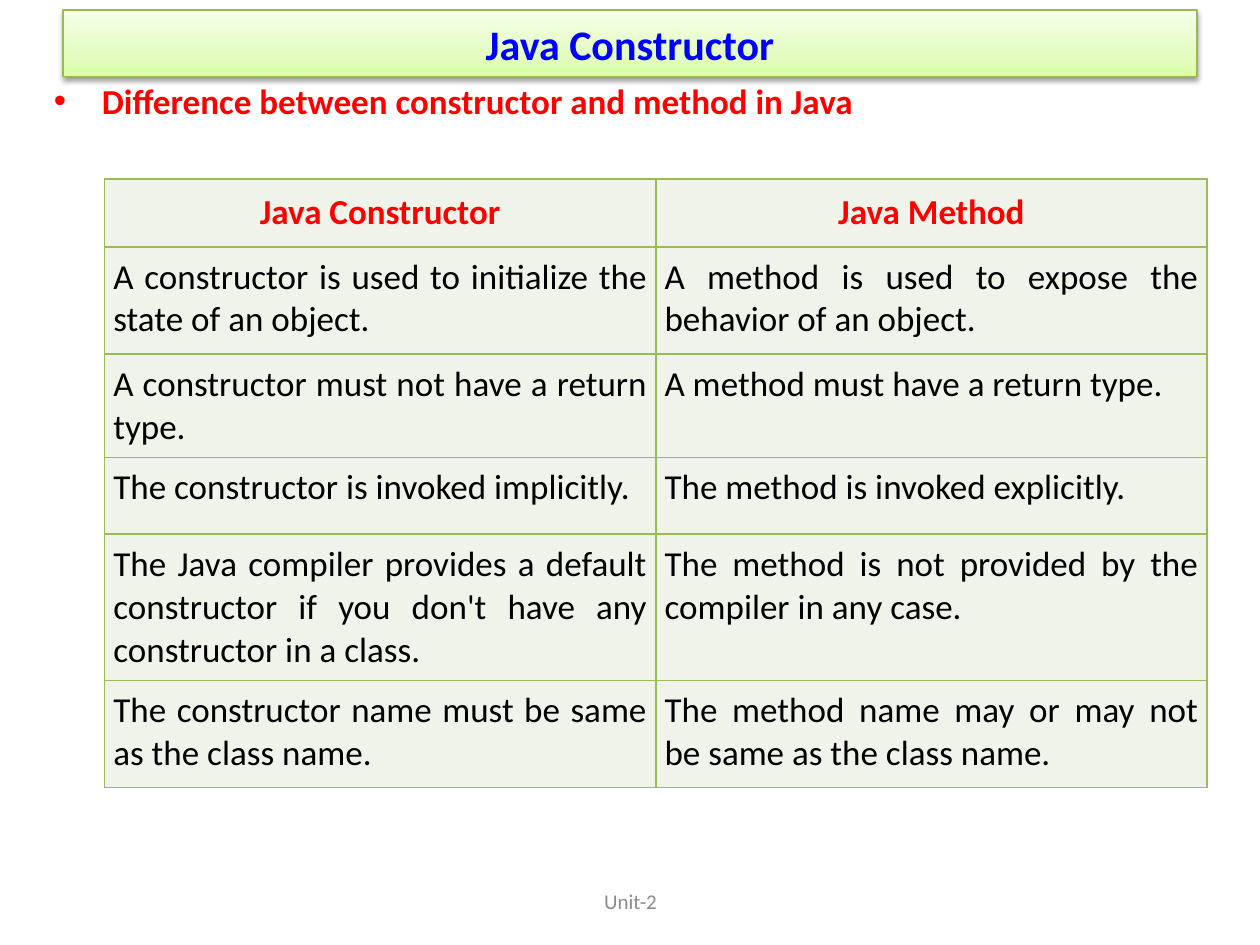
from dataclasses import dataclass

from lxml.etree import SubElement as Sub
from pptx import Presentation
from pptx.dml.color import RGBColor as RGB
from pptx.enum.shapes import MSO_SHAPE as Shape
from pptx.enum.text import MSO_ANCHOR as Anchor, PP_ALIGN as Align
from pptx.oxml.ns import qn
from pptx.util import Inches, Pt


@dataclass(frozen=True)
class Theme:
    font: str = "Calibri"
    blue: str = "0000FF"
    red: str = "FF0000"
    black: str = "000000"
    gray: str = "8C8C8C"
    edge: str = "98B955"
    rule: str = "9BBB59"
    cell: str = "EFF3EA"
    fade: tuple = ((0, "DAFDA7"), (35, "E4FCC2"), (100, "F5FFE7"))
    title: int = 24
    body: int = 20
    foot: int = 12


def tint(node, color):
    return Sub(node, qn("a:srgbClr"), val=color)


class Deck:
    def __init__(self, theme):
        self.theme = theme
        self.prs = Presentation()
        self.prs.slide_width, self.prs.slide_height = Inches(10), Inches(7.5)
        self.slide = self.prs.slides.add_slide(self.prs.slide_layouts[6])

    def put_text(self, frame, text, size, color, bold=False, align=Align.LEFT):
        frame.word_wrap = True
        para = frame.paragraphs[0]
        para.alignment = align
        run = para.add_run()
        run.text = text
        font = run.font
        font.name, font.size, font.bold = self.theme.font, Pt(size), bold
        font.color.rgb = RGB.from_string(color)
        return para

    def banner(self, text, *box):
        look = self.theme
        bar = self.slide.shapes.add_shape(Shape.RECTANGLE, *map(Inches, box))
        bar.line.color.rgb = RGB.from_string(look.edge)
        bar.line.width = Pt(0.75)
        self.fade(bar)
        self.shade(bar)
        bar.text_frame.vertical_anchor = Anchor.MIDDLE
        self.put_text(bar.text_frame, text, look.title, look.blue, True, Align.CENTER)

    def fade(self, bar):
        """Fill the bar from bottom to top with the theme's gradient."""
        bar.fill.gradient()
        bar.fill.gradient_angle = 90
        stops = bar._element.spPr.find(qn("a:gradFill")).find(qn("a:gsLst"))
        for old in list(stops):
            stops.remove(old)
        for pos, color in self.theme.fade:
            tint(Sub(stops, qn("a:gs"), pos=str(pos * 1000)), color)

    def shade(self, bar):
        """Give the bar a soft shadow below it."""
        bar.shadow.inherit = False
        effects = bar._element.spPr.find(qn("a:effectLst"))
        drop = Sub(effects, qn("a:outerShdw"), blurRad=str(Pt(3.1)),
                   dist=str(Pt(1.6)), dir="5400000", rotWithShape="0")
        Sub(tint(drop, self.theme.black), qn("a:alpha"), val="38000")

    def label(self, text, size, color, *box, **style):
        frame = self.slide.shapes.add_textbox(*map(Inches, box)).text_frame
        return frame, self.put_text(frame, text, size, color, **style)

    def bullet(self, text, *box):
        look = self.theme
        _, para = self.label(text, look.body, look.red, *box, bold=True)
        props = para._p.get_or_add_pPr()
        props.set("marL", str(Inches(0.38)))
        props.set("indent", str(Inches(-0.38)))
        Sub(props, qn("a:buFont"), typeface="Arial")
        Sub(props, qn("a:buChar"), char="•")

    def footer(self, text, *box):
        look = self.theme
        frame, _ = self.label(text, look.foot, look.gray, *box, align=Align.CENTER)
        frame.vertical_anchor = Anchor.MIDDLE

    def table(self, rows, highs, left, top, width):
        look = self.theme
        grid = self.slide.shapes.add_table(
            len(rows), len(rows[0]), *map(Inches, (left, top, width, sum(highs)))).table
        for row, high in zip(grid.rows, highs):
            row.height = Inches(high)
        for r, row in enumerate(rows):
            head = r == 0
            for c, text in enumerate(row):
                cell = grid.cell(r, c)
                pad = Inches(0.1 if head else 0.07)
                cell.margin_left = cell.margin_right = pad
                cell.margin_top = cell.margin_bottom = pad
                self.put_text(cell.text_frame, text, look.body,
                              look.red if head else look.black, head,
                              Align.CENTER if head else Align.JUSTIFY)
                self.border(cell)
                cell.fill.solid()
                cell.fill.fore_color.rgb = RGB.from_string(look.cell)

    def border(self, cell):
        props = cell._tc.get_or_add_tcPr()
        for side in "LRTB":
            line = Sub(props, qn(f"a:ln{side}"), w=str(Pt(1)))
            tint(Sub(line, qn("a:solidFill")), self.theme.rule)


ROWS = [
    ("Java Constructor", "Java Method"),
    ("A constructor is used to initialize the state of an object.",
     "A method is used to expose the behavior of an object."),
    ("A constructor must not have a return type.",
     "A method must have a return type."),
    ("The constructor is invoked implicitly.",
     "The method is invoked explicitly."),
    ("The Java compiler provides a default constructor if you don't have "
     "any constructor in a class.",
     "The method is not provided by the compiler in any case."),
    ("The constructor name must be same as the class name.",
     "The method name may or may not be same as the class name."),
]


def main():
    deck = Deck(Theme())
    deck.banner("Java Constructor", 0.5, 0.08, 9, 0.53)
    deck.footer("Unit-2", 3.42, 6.95, 3.17, 0.4)
    deck.bullet("Difference between constructor and method in Java",
                0.33, 0.58, 9.25, 5.75)
    deck.table(ROWS, (0.54, 0.85, 0.82, 0.61, 1.16, 0.85), 0.83, 1.42, 8.75)
    deck.prs.save("out.pptx")


if __name__ == "__main__":
    main()
